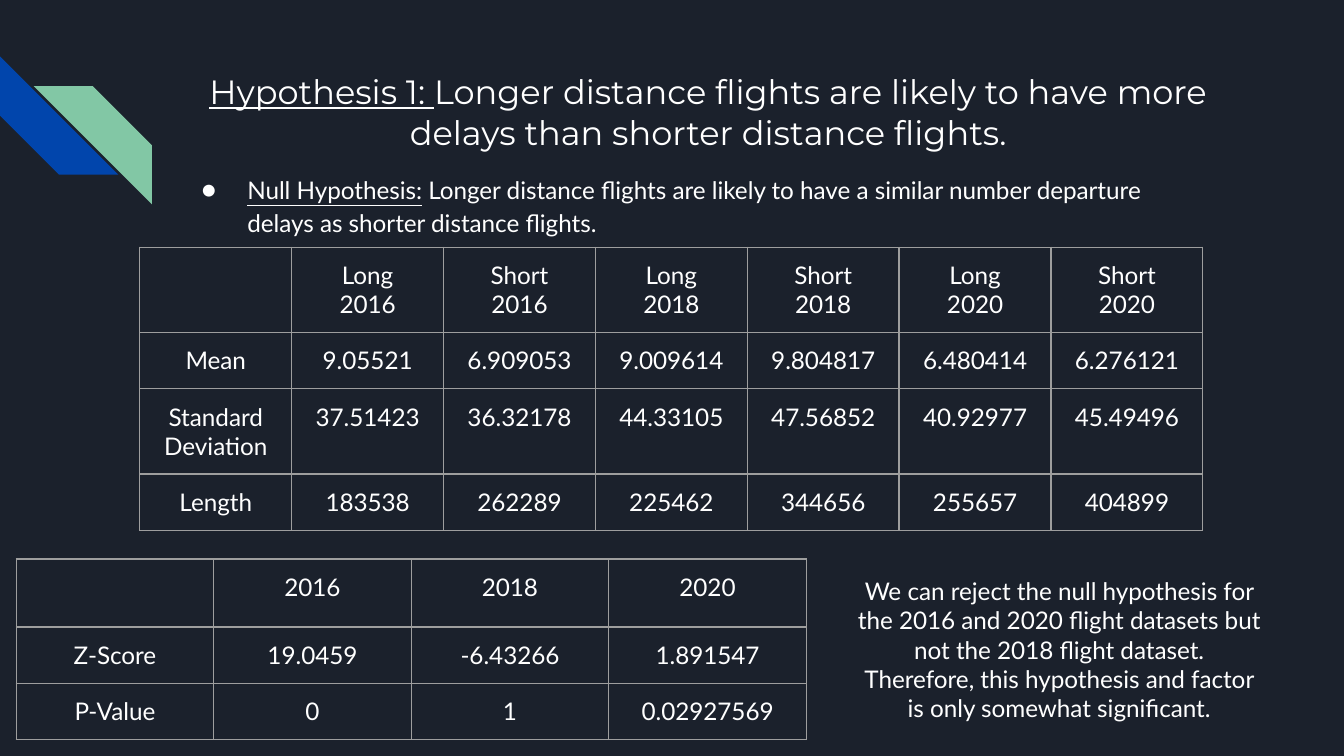
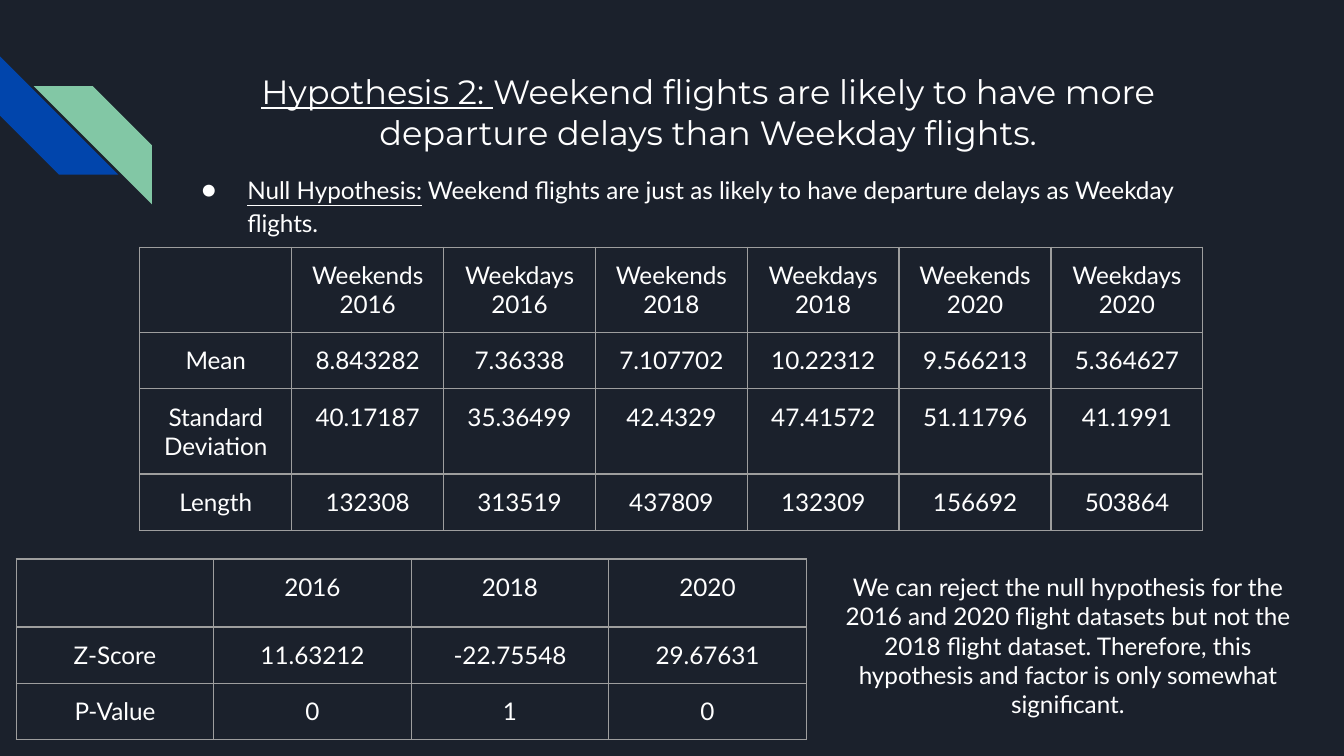
from lxml import etree
from pptx import Presentation
from pptx.dml.color import RGBColor
from pptx.enum.shapes import MSO_SHAPE
from pptx.enum.text import MSO_ANCHOR, MSO_AUTO_SIZE, PP_ALIGN
from pptx.oxml import parse_xml
from pptx.util import Inches, Pt

CENTER, LEFT = PP_ALIGN.CENTER, PP_ALIGN.LEFT
TOP = MSO_ANCHOR.TOP
NO_AUTOFIT = MSO_AUTO_SIZE.NONE
STRIPE = MSO_SHAPE.DIAGONAL_STRIPE

# Shared look
NAVY, BLUE, GREEN = "1B212C", "0145AC", "82C7A5"
WHITE, GREY = "FFFFFF", "9E9E9E"
A_NS = "http://schemas.openxmlformats.org/drawingml/2006/main"
TITLE_FONT = {"name": "Montserrat", "size": Pt(18), "bold": False}
TEXT_FONT = {"name": "Lato", "size": Pt(13), "bold": False}
FRAME = {"word_wrap": True, "auto_size": NO_AUTOFIT, "vertical_anchor": TOP,
         "margin_left": Inches(0.1), "margin_right": Inches(0.1),
         "margin_top": Inches(0.1), "margin_bottom": Inches(0.1)}
CELL = {key: value for key, value in FRAME.items()
        if key not in ("word_wrap", "auto_size")}
PLAIN_TABLE = {"first_row": False, "horz_banding": False}
STRIPES = [(0, 0.42, 270, BLUE), (0.25, 0.64, 90, GREEN)]  # left, top, rotation, colour

# Content of the slides
CONCLUSION = ("We can reject the null hypothesis for the 2016 and 2020 flight datasets "
              "but not the 2018 flight dataset. Therefore, this hypothesis and factor "
              "is only somewhat significant.")
YEARS = ["2016", "2018", "2020"]
HYPOTHESES = [
    {
        "label": "Hypothesis 1: ",
        "claim": "Longer distance flights are likely to have more delays "
                 "than shorter distance flights.",
        "null": " Longer distance flights are likely to have a similar number "
                "departure delays as shorter distance flights.",
        "groups": ["Long", "Short"],
        "samples": [
            ["Mean", "9.05521", "6.909053", "9.009614", "9.804817", "6.480414", "6.276121"],
            ["Standard Deviation", "37.51423", "36.32178", "44.33105",
             "47.56852", "40.92977", "45.49496"],
            ["Length", "183538", "262289", "225462", "344656", "255657", "404899"],
        ],
        "tests": [["Z-Score", "19.0459", "-6.43266", "1.891547"],
                  ["P-Value", "0", "1", "0.02927569"]],
        "conclusion_box": (6.28, 4.19, 3.2, 1.3),
    },
    {
        "label": "Hypothesis 2: ",
        "claim": "Weekend flights are likely to have more departure delays "
                 "than Weekday flights.",
        "null": " Weekend flights are just as likely to have departure delays "
                "as Weekday flights.",
        "groups": ["Weekends", "Weekdays"],
        "samples": [
            ["Mean", "8.843282", "7.36338", "7.107702", "10.22312", "9.566213", "5.364627"],
            ["Standard Deviation", "40.17187", "35.36499", "42.4329",
             "47.41572", "51.11796", "41.1991"],
            ["Length", "132308", "313519", "437809", "132309", "156692", "503864"],
        ],
        "tests": [["Z-Score", "11.63212", "-22.75548", "29.67631"],
                  ["P-Value", "0", "1", "0"]],
        "conclusion_box": (6.16, 4.16, 3.57, 1.52),
    },
]


def apply(target, formats, colour=None):
    """Set format values on an object, and its colour if one is given."""
    for key, value in formats.items():
        setattr(target, key, value)
    if colour:
        target.color.rgb = RGBColor.from_string(colour)


def write(paragraph, align, font, *pieces):
    """Add runs to a paragraph; each piece is a text and its underline."""
    paragraph.alignment = align
    for text, underline in pieces:
        run = paragraph.add_run()
        run.text = text
        apply(run.font, {**font, "underline": underline}, WHITE)


prs = Presentation()
prs.slide_width = Inches(10)
prs.slide_height = Inches(10 * 9 / 16)
backdrop = prs.slide_master.background.fill
backdrop.solid()
backdrop.fore_color.rgb = RGBColor.from_string(NAVY)

for hypothesis in HYPOTHESES:
    slide = prs.slides.add_slide(prs.slide_layouts[1])

    # Corner stripes
    for left, top, rotation, colour in STRIPES:
        stripe = slide.shapes.add_shape(STRIPE, Inches(left), Inches(top),
                                        Inches(0.88), Inches(0.88))
        stripe.rotation = rotation
        stripe.shadow.inherit = False
        stripe.fill.solid()
        stripe.fill.fore_color.rgb = RGBColor.from_string(colour)
        stripe.line.fill.background()

    # Title, null hypothesis and conclusion boxes
    title, null = slide.shapes.title, slide.placeholders[1]
    conclusion = slide.shapes.add_textbox(0, 0, 0, 0)
    for holder, box in [(title, (1.42, 0.43, 7.7, 0.98)),
                        (null, (1.24, 1.17, 7.88, 0.67)),
                        (conclusion, hypothesis["conclusion_box"])]:
        apply(holder, dict(zip(("left", "top", "width", "height"), map(Inches, box))))
        apply(holder.text_frame, FRAME)

    write(title.text_frame.paragraphs[0], CENTER, TITLE_FONT,
          (hypothesis["label"], True), (hypothesis["claim"], False))
    write(conclusion.text_frame.paragraphs[0], CENTER, TEXT_FONT, (CONCLUSION, False))

    # Null hypothesis bullet
    bullet = null.text_frame.paragraphs[0]
    apply(bullet, {"line_spacing": 1.15, "space_before": Pt(0)})
    properties = bullet._p.get_or_add_pPr()
    properties.set("marL", str(Inches(0.5)))
    properties.set("indent", str(Inches(-0.34)))
    bullet_colour = etree.SubElement(properties, f"{{{A_NS}}}buClr")
    etree.SubElement(bullet_colour, f"{{{A_NS}}}srgbClr", val=WHITE)
    etree.SubElement(properties, f"{{{A_NS}}}buFont", typeface="Lato")
    etree.SubElement(properties, f"{{{A_NS}}}buChar", char="●")
    write(bullet, LEFT, TEXT_FONT, ("Null Hypothesis:", True), (hypothesis["null"], False))

    # Sample statistics and test results
    sample_header = [""] + [f"{group}\n{year}" for year in YEARS
                            for group in hypothesis["groups"]]
    for rows, left, top, column_width, row_heights in [
        ([sample_header] + hypothesis["samples"], 1.04, 1.84, 1.13, (0.63, 0.42, 0.63, 0.42)),
        ([[""] + YEARS] + hypothesis["tests"], 0.12, 4.16, 1.47, (0.5, 0.42, 0.42)),
    ]:
        table = slide.shapes.add_table(
            len(rows), len(rows[0]), Inches(left), Inches(top),
            Inches(column_width * len(rows[0])), Inches(sum(row_heights))).table
        apply(table, PLAIN_TABLE)
        for column in table.columns:
            column.width = Inches(column_width)
        for r, (values, height) in enumerate(zip(rows, row_heights)):
            table.rows[r].height = Inches(height)
            for c, value in enumerate(values):
                cell = table.cell(r, c)
                apply(cell, CELL)
                for side in ("lnL", "lnR", "lnT", "lnB"):
                    cell._tc.get_or_add_tcPr().append(parse_xml(
                        f'<a:{side} xmlns:a="{A_NS}" w="{Pt(0.75)}"><a:solidFill>'
                        f'<a:srgbClr val="{GREY}"/></a:solidFill></a:{side}>'))
                cell.fill.background()
                if not value:
                    continue
                for i, line in enumerate(value.split("\n")):
                    frame = cell.text_frame
                    paragraph = frame.add_paragraph() if i else frame.paragraphs[0]
                    write(paragraph, CENTER, TEXT_FONT, (line, False))

prs.save("out.pptx")
